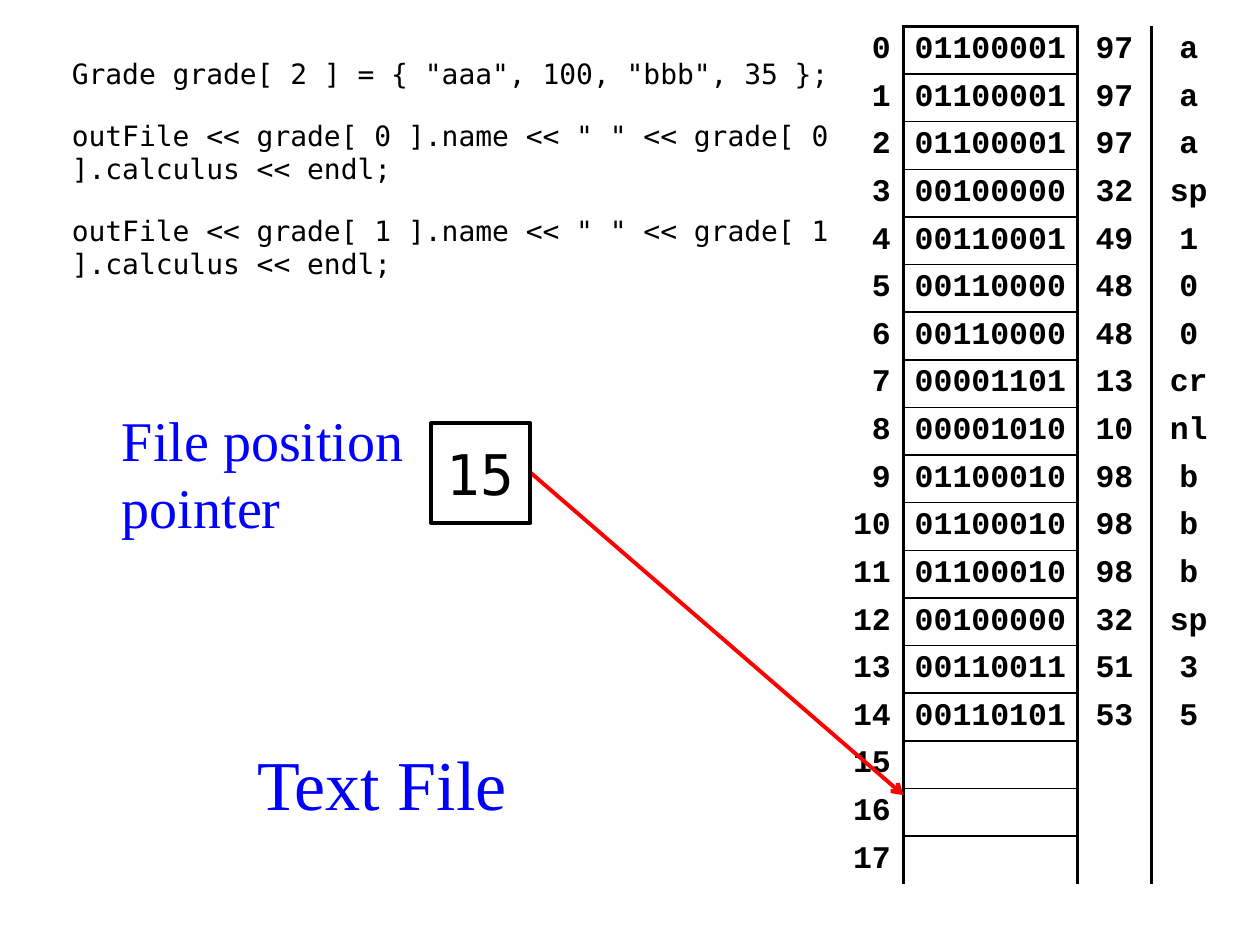
from pptx import Presentation
from pptx.dml.color import RGBColor
from pptx.enum.shapes import MSO_CONNECTOR as Connector, MSO_SHAPE as Preset
from pptx.enum.text import MSO_ANCHOR as Anchor, MSO_AUTO_SIZE as AutoSize, PP_ALIGN as Align
from pptx.oxml import parse_xml
from pptx.oxml.ns import nsdecls
from pptx.util import Inches, Pt

BLACK, BLUE, RED = "000000", "0000FF", "FF0000"
NO_GRID_STYLE = "{2D5ABB26-0587-4C30-8999-92F81FD0307C}"

BYTES = [
    ("01100001", "97", "a"), ("01100001", "97", "a"), ("01100001", "97", "a"),
    ("00100000", "32", "sp"), ("00110001", "49", "1"), ("00110000", "48", "0"),
    ("00110000", "48", "0"), ("00001101", "13", "cr"), ("00001010", "10", "nl"),
    ("01100010", "98", "b"), ("01100010", "98", "b"), ("01100010", "98", "b"),
    ("00100000", "32", "sp"), ("00110011", "51", "3"), ("00110101", "53", "5"),
]
EMPTY_BYTES = [("", "", "")] * 3

CODE = [
    'Grade grade[ 2 ] = { "aaa", 100, "bbb", 35 };',
    'outFile << grade[ 0 ].name << " " << grade[ 0 ].calculus << endl;',
    'outFile << grade[ 1 ].name << " " << grade[ 1 ].calculus << endl;',
]

TABLE_FONT = {"name": "Courier New", "size": Pt(18), "bold": True}
CODE_FONT = {"name": "DejaVu Sans Mono", "size": Pt(16)}
POINTER_FONT = {"name": "DejaVu Sans Mono", "size": Pt(32)}
LABEL_FONT = {"name": "Times New Roman", "size": Pt(32)}
TITLE_FONT = {"name": "Times New Roman", "size": Pt(40)}


def color(value):
    return RGBColor.from_string(value)


def apply(target, formats):
    for name, value in formats.items():
        setattr(target, name, value)


def place(shape, left, top, width, height):
    apply(shape, {"left": Inches(left), "top": Inches(top),
                  "width": Inches(width), "height": Inches(height)})


def write(text_frame, lines, font, hex_color, **paragraph_formats):
    for index, line in enumerate(lines):
        paragraph = text_frame.paragraphs[0] if index == 0 else text_frame.add_paragraph()
        apply(paragraph, paragraph_formats)
        run = paragraph.add_run()
        run.text = line
        apply(run.font, font)
        run.font.color.rgb = color(hex_color)


def set_border(cell, side, points):
    cell._tc.get_or_add_tcPr().append(parse_xml(
        f'<a:ln{side} {nsdecls("a")} w="{Pt(points)}"><a:solidFill>'
        f'<a:srgbClr val="{BLACK}"/></a:solidFill></a:ln{side}>'))


def cell_borders(row, column, last_row):
    if column == 0:
        return {"R": 2.25}
    if column == 2:
        return {"L": 2.25}
    if column == 3:
        return {}
    borders = {"L": 2.25, "R": 2.25, "T": 1 if row else 2.25}
    if row < last_row:
        borders["B"] = 1
    return borders


def add_byte_table(slide, rows):
    widths = [0.59, 1.38, 0.59, 0.59]
    row_height = 6.81 / len(rows)
    frame = slide.shapes.add_table(len(rows), len(widths), Inches(6.58), Inches(0.21),
                                   Inches(sum(widths)), Inches(row_height * len(rows)))
    table = frame.table
    apply(table, {"first_row": False, "horz_banding": False})
    table._tbl.tblPr[0].text = NO_GRID_STYLE
    for column, width in zip(table.columns, widths):
        column.width = Inches(width)
    for row, values in enumerate(rows):
        table.rows[row].height = Inches(row_height)
        for column, value in enumerate((str(row), *values)):
            cell = table.cell(row, column)
            side_margin = Inches(0.08 if column == 1 else 0.1)
            apply(cell, {"vertical_anchor": Anchor.MIDDLE,
                         "margin_left": side_margin, "margin_right": side_margin,
                         "margin_top": Inches(0.03), "margin_bottom": Inches(0.03)})
            for side, points in cell_borders(row, column, len(rows) - 1).items():
                set_border(cell, side, points)
            cell.fill.background()
            if value:
                write(cell.text_frame, [value], TABLE_FONT, BLACK,
                      alignment=Align.CENTER if column else Align.RIGHT)


def fill_title(slide):
    title = slide.shapes.title
    place(title, 1.85, 5.72, 2.36, 0.98)
    apply(title.text_frame, {"vertical_anchor": Anchor.MIDDLE, "auto_size": AutoSize.NONE})
    write(title.text_frame, ["Text File"], TITLE_FONT, BLUE, alignment=Align.CENTER)


def fill_code(slide):
    body = slide.placeholders[1]
    place(body, 0.47, 0.4, 6.3, 1.97)
    body.text_frame.auto_size = AutoSize.NONE
    write(body.text_frame, CODE, CODE_FONT, BLACK, space_before=Pt(16))
    for paragraph in body.text_frame.paragraphs:
        properties = paragraph._p.get_or_add_pPr()
        properties.set("marL", "0")
        properties.set("indent", "0")
        properties.append(parse_xml(f'<a:buNone {nsdecls("a")}/>'))


def add_arrow(slide, start, end):
    arrow = slide.shapes.add_connector(Connector.STRAIGHT, *map(Inches, start + end))
    arrow.line.color.rgb = color(RED)
    arrow.line.width = Pt(2.25)
    arrow.line._get_or_add_ln().append(parse_xml(f'<a:tailEnd {nsdecls("a")} type="arrow"/>'))
    arrow._element.spPr.append(parse_xml(f'<a:effectLst {nsdecls("a")}/>'))


def add_pointer_box(slide, text):
    box = slide.shapes.add_shape(Preset.RECTANGLE, *map(Inches, (3.42, 3.36, 0.79, 0.79)))
    box.shadow.inherit = False
    box.fill.background()
    box.line.color.rgb = color(BLACK)
    box.line.width = Pt(2.25)
    apply(box.text_frame, {"word_wrap": False, "vertical_anchor": Anchor.MIDDLE})
    write(box.text_frame, [text], POINTER_FONT, BLACK, alignment=Align.CENTER)


def add_label(slide, lines):
    label = slide.shapes.add_textbox(*map(Inches, (0.87, 3.16, 2.56, 1.18)))
    apply(label.text_frame, {"word_wrap": False, "vertical_anchor": Anchor.MIDDLE})
    write(label.text_frame, lines, LABEL_FONT, BLUE, alignment=Align.LEFT)


def main():
    presentation = Presentation()
    apply(presentation, {"slide_width": Inches(10), "slide_height": Inches(7.5)})
    slide = presentation.slides.add_slide(presentation.slide_layouts[1])
    fill_title(slide)
    fill_code(slide)
    add_byte_table(slide, BYTES + EMPTY_BYTES)
    add_arrow(slide, (4.21, 3.75), (7.17, 6.31))
    add_pointer_box(slide, "15")
    add_label(slide, ["File position", "pointer"])
    presentation.save("out.pptx")


if __name__ == "__main__":
    main()
